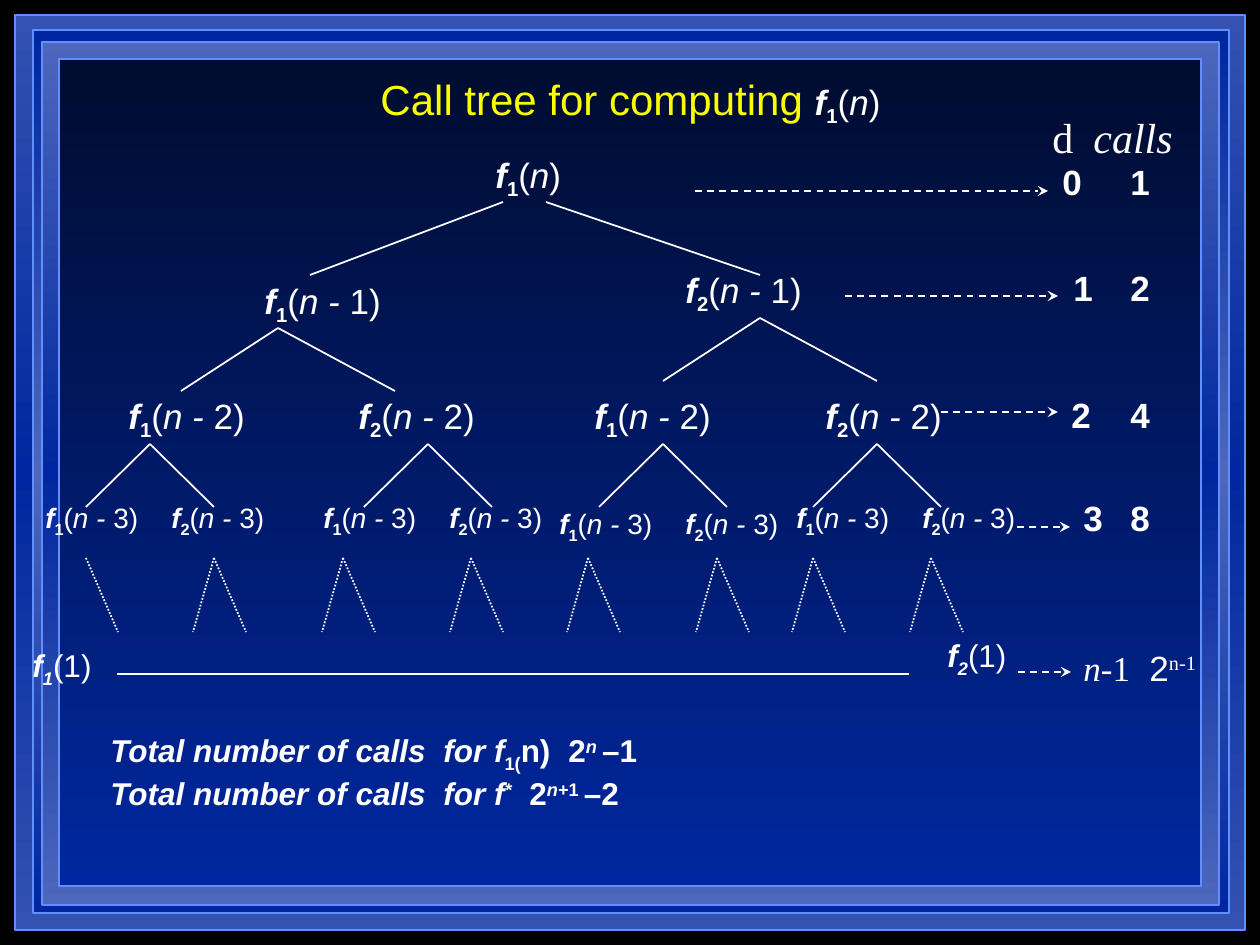
from dataclasses import dataclass
from typing import NamedTuple

from lxml import etree
from pptx import Presentation
from pptx.dml.color import RGBColor
from pptx.enum.dml import MSO_LINE
from pptx.enum.shapes import MSO_CONNECTOR, MSO_SHAPE
from pptx.enum.text import MSO_ANCHOR, MSO_AUTO_SIZE, PP_ALIGN
from pptx.oxml.ns import qn
from pptx.util import Pt

EMU_PER_PX = 914400 / 126
INSET = 13

BLACK = RGBColor(0x00, 0x00, 0x00)
WHITE = RGBColor(0xFF, 0xFF, 0xFF)
YELLOW = RGBColor(0xFA, 0xFD, 0x00)
NIGHT = RGBColor(0x00, 0x0C, 0x2F)
ROYAL = RGBColor(0x00, 0x27, 0x9F)
STEEL = RGBColor(0x33, 0x52, 0xB2)
HAZE = RGBColor(0x4C, 0x67, 0xBC)
EDGE = RGBColor(0x61, 0x8F, 0xFD)

SANS, SERIF = "Arial", "Times New Roman"
DASH, DOT = MSO_LINE.DASH, MSO_LINE.ROUND_DOT
STRAIGHT, RECTANGLE = MSO_CONNECTOR.STRAIGHT, MSO_SHAPE.RECTANGLE
FIT_SHAPE, NO_FIT = MSO_AUTO_SIZE.SHAPE_TO_FIT_TEXT, MSO_AUTO_SIZE.NONE
MIDDLE, CENTER = MSO_ANCHOR.MIDDLE, PP_ALIGN.CENTER
SUB, SUP = -25000, 30000


class Box(NamedTuple):
    left: int
    top: int
    width: int
    height: int


@dataclass(frozen=True)
class Run:
    text: str
    bold: bool = False
    italic: bool = False
    baseline: int = 0
    font: str = SANS
    size: int = 0
    color: RGBColor = WHITE


@dataclass(frozen=True)
class Line:
    """One paragraph; tab stops are slide positions in px."""
    runs: list[Run]
    stops: tuple[int, ...] = ()


@dataclass(frozen=True)
class Fork:
    """Branches from an apex; each foot is a horizontal offset."""
    x: int
    y: int
    feet: tuple[int, ...]
    drop: int


def px(length: int) -> int:
    return round(length * EMU_PER_PX)


def draw_frame(shapes, box: Box, colors: list[RGBColor]) -> None:
    frame = shapes.add_shape(RECTANGLE, *map(px, box))
    frame.shadow.inherit = False
    frame.line.color.rgb = EDGE
    frame.line.width = Pt(1)
    frame.fill.gradient()
    frame.fill.gradient_angle = 270
    stops = frame._element.spPr.find(qn("a:gradFill")).find(qn("a:gsLst"))
    for stop in list(stops):
        stops.remove(stop)
    for i, color in enumerate(colors):
        position = 100000 * i // (len(colors) - 1)
        stop = etree.SubElement(stops, qn("a:gs"), pos=str(position))
        etree.SubElement(stop, qn("a:srgbClr"), val=str(color))


def write_line(paragraph, line: Line, size: int, origin: int) -> None:
    if line.stops:
        tabs = etree.SubElement(paragraph._p.get_or_add_pPr(), qn("a:tabLst"))
        for stop in line.stops:
            etree.SubElement(tabs, qn("a:tab"), pos=str(px(stop - origin)), algn="l")
    for part in line.runs:
        run = paragraph.add_run()
        run.text = part.text
        formats = {"name": part.font, "size": Pt(part.size or size),
                   "bold": part.bold, "italic": part.italic}
        for attribute, value in formats.items():
            setattr(run.font, attribute, value)
        run.font.color.rgb = part.color
        if part.baseline:
            run._r.get_or_add_rPr().set("baseline", str(part.baseline))


def draw_text(shapes, box: Box, lines: list[Line], size: int, wrap: bool = False) -> None:
    frame = shapes.add_textbox(*map(px, box)).text_frame
    frame.word_wrap = wrap
    frame.auto_size = FIT_SHAPE
    for i, line in enumerate(lines):
        paragraph = frame.add_paragraph() if i else frame.paragraphs[0]
        write_line(paragraph, line, size, box.left + INSET)


def draw_connector(shapes, x1: int, y1: int, x2: int, y2: int, dash=None, arrow: bool = False) -> None:
    connector = shapes.add_connector(STRAIGHT, px(x1), px(y1), px(x2), px(y2))
    connector.line.color.rgb = WHITE
    connector.line.width = Pt(1)
    if dash is not None:
        connector.line.dash_style = dash
    if arrow:
        etree.SubElement(connector.line._get_or_add_ln(), qn("a:tailEnd"), type="stealth")
    etree.SubElement(connector._element.spPr, qn("a:effectLst"))


def draw_fork(shapes, fork: Fork, dash=None) -> None:
    for foot in fork.feet:
        draw_connector(shapes, fork.x, fork.y, fork.x + foot, fork.y + fork.drop, dash)


def call_runs(function: int, depth: int = 0) -> list[Run]:
    argument = ([Run("n - ", italic=True), Run(f"{depth})")] if depth
                else [Run("n", italic=True), Run(")")])
    return [Run("f", True, True), Run(str(function), True, baseline=SUB), Run("("), *argument]


def base_runs(function: int) -> list[Run]:
    return [Run("f", True, True), Run(str(function), True, True, SUB), Run("(1)")]


FRAMES = [
    (Box(15, 15, 1230, 915), [STEEL, ROYAL, STEEL]),
    (Box(33, 30, 1196, 883), [ROYAL, HAZE, ROYAL]),
    (Box(42, 42, 1177, 863), [HAZE, ROYAL, HAZE]),
    (Box(59, 59, 1142, 827), [NIGHT, ROYAL]),
]

# Call labels: depth, font size, label size, then (function, left, top)
LEAF_PAIRS = [(33, 494), (311, 494), (547, 500), (784, 494)]
LEVELS = [
    (0, 20, (91, 60), [(1, 483, 147)]),
    (1, 20, (142, 60), [(1, 252, 273), (2, 673, 262)]),
    (2, 20, (142, 60), [(1, 116, 388), (2, 346, 388), (1, 582, 388), (2, 813, 388)]),
    (3, 16, (118, 50), [(f, left + 126 * (f - 1), top)
                        for left, top in LEAF_PAIRS for f in (1, 2)]),
]
BASE_CALLS = [(1, Box(20, 640, 84, 55)), (2, Box(935, 630, 84, 55))]

ROOT_BRANCHES = [(503, 202, 310, 275), (546, 202, 760, 275)]
SOLID_FORKS = [Fork(x, y, (-97, 117), 63) for x, y in [(278, 328), (760, 318)]]
SOLID_FORKS += [Fork(x, 444, (-64, 64), 63) for x in (150, 428, 663, 877)]
DOTTED_FORKS = [Fork(86, 558, (32,), 74)]
DOTTED_FORKS += [Fork(x, 558, (-21, 32), 74) for x in (214, 343, 471, 588, 717, 813, 931)]
DEPTH_ARROWS = [(695, 1048, 191), (845, 1058, 296), (941, 1058, 412),
                (1017, 1070, 527), (1018, 1071, 672)]

# Depth and number of calls, in two tabbed columns
CALLS_X = 1131
DEPTH_ROWS = [(0, Box(1050, 154, 136, 97)), (1, Box(1061, 260, 105, 97)),
              (2, Box(1059, 387, 116, 97)), (3, Box(1071, 490, 105, 97))]
HEADING = Line([Run("d\t", font=SERIF), Run("calls", italic=True, font=SERIF)], (1094,))
LAST_ROW = Line([Run("n", italic=True, font=SERIF), Run("-1", font=SERIF), Run("\t2"),
                 Run("n-1", baseline=SUP, font=SERIF)], (1150,))

TOTALS = [
    Line([Run("Total number of calls\tfor f", True, True), Run("1(", True, baseline=SUB),
          Run("n)\t2", True), Run("n ", True, True, SUP), Run("–1", True)], (444, 569)),
    Line([Run("Total number of calls\tfor f", True, True), Run("*", True, True, SUP),
          Run("\t2", True), Run("n", True, True, SUP), Run("+1 ", True, baseline=SUP),
          Run("–2", True)], (444, 530)),
]


def main() -> None:
    deck = Presentation()
    deck.slide_width, deck.slide_height = px(1260), px(945)
    slide = deck.slides.add_slide(deck.slide_layouts[5])
    shapes = slide.shapes
    slide.background.fill.solid()
    slide.background.fill.fore_color.rgb = BLACK

    # Nested frames, with the title raised above them
    for box, colors in FRAMES:
        draw_frame(shapes, box, colors)
    title = shapes.title
    shapes._spTree.append(title._element)
    for attribute, length in Box(95, 53, 1071, 95)._asdict().items():
        setattr(title, attribute, px(length))
    title_format = {"vertical_anchor": MIDDLE, "word_wrap": True, "auto_size": NO_FIT}
    for attribute, value in title_format.items():
        setattr(title.text_frame, attribute, value)
    heading = title.text_frame.paragraphs[0]
    heading.alignment = CENTER
    lead = Run("Call tree for computing ", size=24, color=YELLOW)
    write_line(heading, Line([lead, *call_runs(1)]), 20, 0)

    # Branches of the tree
    for branch in ROOT_BRANCHES:
        draw_connector(shapes, *branch)
    for fork in SOLID_FORKS:
        draw_fork(shapes, fork)
    for fork in DOTTED_FORKS:
        draw_fork(shapes, fork, DOT)
    draw_connector(shapes, 117, 674, 909, 674)

    # Calls at each level
    for depth, size, extent, calls in LEVELS:
        for function, left, top in calls:
            draw_text(shapes, Box(left, top, *extent), [Line(call_runs(function, depth))], size)
    for function, box in BASE_CALLS:
        draw_text(shapes, box, [Line(base_runs(function))], 18)

    # Depth table and its arrows
    for start, end, y in DEPTH_ARROWS:
        draw_connector(shapes, start, y, end, y, DASH, arrow=True)
    draw_text(shapes, Box(1040, 105, 220, 63), [HEADING], 24, wrap=True)
    for depth, box in DEPTH_ROWS:
        row = Line([Run(f"{depth}\t{2 ** depth}", True)], (CALLS_X,))
        draw_text(shapes, box, [row], 20, wrap=True)
    draw_text(shapes, Box(1071, 640, 147, 97), [LAST_ROW], 20, wrap=True)

    # Totals
    draw_text(shapes, Box(98, 725, 557, 93), TOTALS, 18)
    deck.save("out.pptx")


if __name__ == "__main__":
    main()
